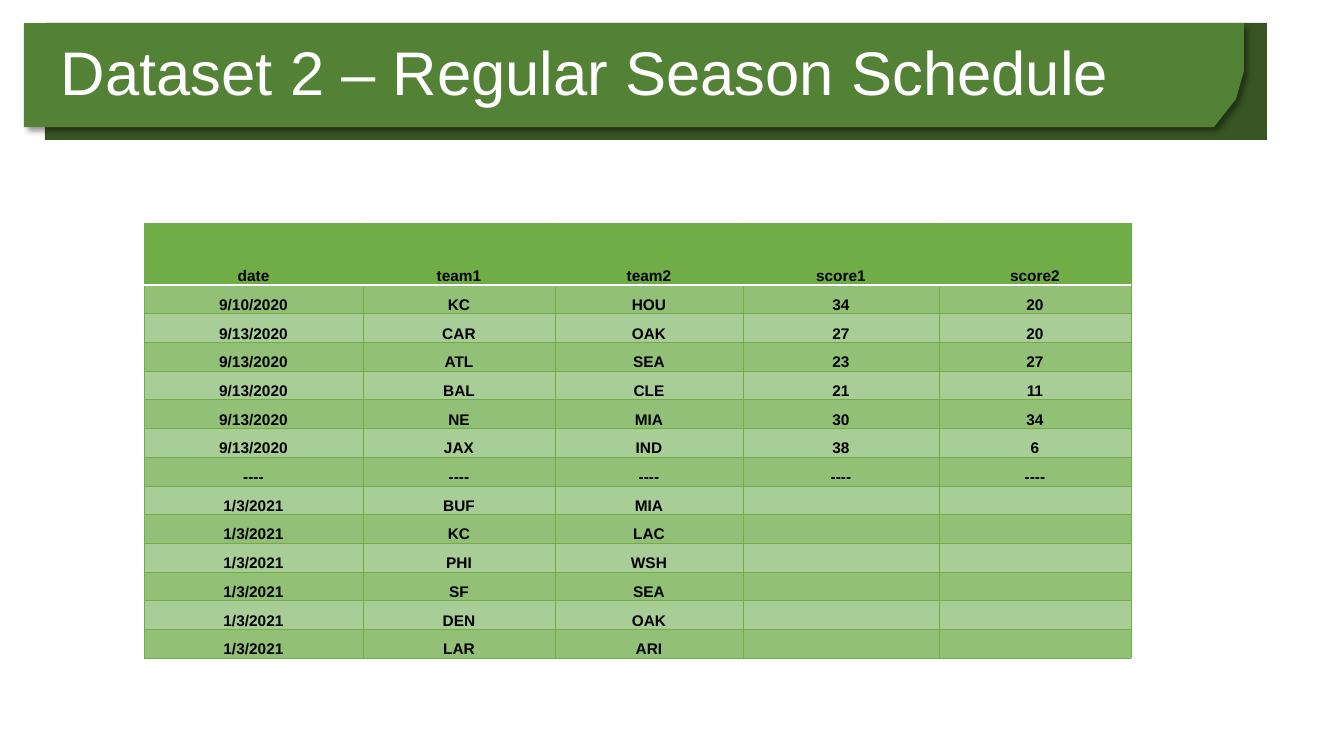
from lxml import etree
from pptx import Presentation
from pptx.dml.color import RGBColor
from pptx.enum.shapes import MSO_SHAPE
from pptx.enum.text import MSO_ANCHOR, PP_ALIGN
from pptx.oxml import parse_xml
from pptx.oxml.ns import qn
from pptx.util import Pt

RECT = MSO_SHAPE.RECTANGLE
MIDDLE, BOTTOM = MSO_ANCHOR.MIDDLE, MSO_ANCHOR.BOTTOM
CENTER = PP_ALIGN.CENTER
NS = "http://schemas.openxmlformats.org/drawingml/2006/main"
PX = 914400 / 100.8
FONT = "Arial"
HEX = {
    "dark": "375623",
    "banner": "538135",
    "green": "70AD47",
    "odd": "92C077",
    "even": "A9CD97",
    "white": "FFFFFF",
    "black": "000000",
}


def px(*nums):
    return [round(n * PX) for n in nums]


def paint(fill, name):
    fill.solid()
    fill.fore_color.rgb = RGBColor.from_string(HEX[name])


deck = Presentation()
deck.slide_width, deck.slide_height = px(1344, 756)
slide = deck.slides.add_slide(deck.slide_layouts[6])
shapes = slide.shapes

# Banner: dark plate behind, cut-corner plate in front
back = shapes.add_shape(RECT, *px(45, 23, 1222, 117))
path = shapes.build_freeform(24, 23, scale=PX)
path.add_line_segments(
    [(1244, 23), (1244, 71), (1236, 99), (1214, 127), (24, 127)], close=True)
front = path.convert_to_shape()
for plate, name in ((back, "dark"), (front, "banner")):
    plate.shadow.inherit = False
    paint(plate.fill, name)
    plate.line.fill.background()

glow = front._element.spPr.find(qn("a:effectLst"))
glow.append(parse_xml(
    f'<a:outerShdw xmlns:a="{NS}" blurRad="{Pt(4)}" dist="{Pt(3)}" '
    f'dir="2700000" algn="tl" rotWithShape="0"><a:srgbClr val="{HEX["black"]}">'
    '<a:alpha val="40000"/></a:srgbClr></a:outerShdw>'))

# Title
title = shapes.add_textbox(*px(51, 36, 1107, 80)).text_frame
title.word_wrap = True
title.vertical_anchor = MIDDLE
title.text = "Dataset 2 – Regular Season Schedule"
para = title.paragraphs[0]
para.line_spacing = 0.9
font = para.runs[0].font
font.name, font.size = FONT, Pt(44)
font.color.rgb = RGBColor.from_string(HEX["white"])

# Schedule table
games = [
    ("date", "team1", "team2", "score1", "score2"),
    ("9/10/2020", "KC", "HOU", "34", "20"),
    ("9/13/2020", "CAR", "OAK", "27", "20"),
    ("9/13/2020", "ATL", "SEA", "23", "27"),
    ("9/13/2020", "BAL", "CLE", "21", "11"),
    ("9/13/2020", "NE", "MIA", "30", "34"),
    ("9/13/2020", "JAX", "IND", "38", "6"),
    ("----",) * 5,
    ("1/3/2021", "BUF", "MIA", "", ""),
    ("1/3/2021", "KC", "LAC", "", ""),
    ("1/3/2021", "PHI", "WSH", "", ""),
    ("1/3/2021", "SF", "SEA", "", ""),
    ("1/3/2021", "DEN", "OAK", "", ""),
    ("1/3/2021", "LAR", "ARI", "", ""),
]
widths = [219, 192, 188, 196, 192]
head, body = 62, 373
frame = shapes.add_table(
    len(games), len(widths), *px(144, 223, sum(widths), head + body))
table = frame.table
table.horz_banding = False
for col, width in zip(table.columns, px(*widths)):
    col.width = width

for r, game in enumerate(games):
    high = body / (len(games) - 1) if r else head
    table.rows[r].height = px(high)[0]
    tone = ("odd" if r % 2 else "even") if r else "green"
    for c, word in enumerate(game):
        cell = table.cell(r, c)
        cell.margin_left, cell.margin_right, cell.margin_top = px(1, 1, 1)
        cell.margin_bottom = 0
        cell.vertical_anchor = BOTTOM
        cell.text = word
        para = cell.text_frame.paragraphs[0]
        para.alignment = CENTER
        for run in para.runs:
            font = run.font
            font.name, font.size, font.bold = FONT, Pt(11), True
            font.color.rgb = RGBColor.from_string(HEX["black"])
        if not word:  # keeps empty cells from growing the row
            etree.SubElement(para._p, qn("a:endParaRPr"), sz="1100")

        # Borders come before the fill in the cell properties
        props = cell._tc.get_or_add_tcPr()
        for side in "LRTB":
            rule = (r, side) in ((0, "B"), (1, "T"))
            name, size = ("white", 1) if rule else ("green", 0.5)
            edge = etree.SubElement(
                props, qn(f"a:ln{side}"), w=str(Pt(size)))
            solid = etree.SubElement(edge, qn("a:solidFill"))
            etree.SubElement(solid, qn("a:srgbClr"), val=HEX[name])
        paint(cell.fill, tone)

deck.save("out.pptx")
